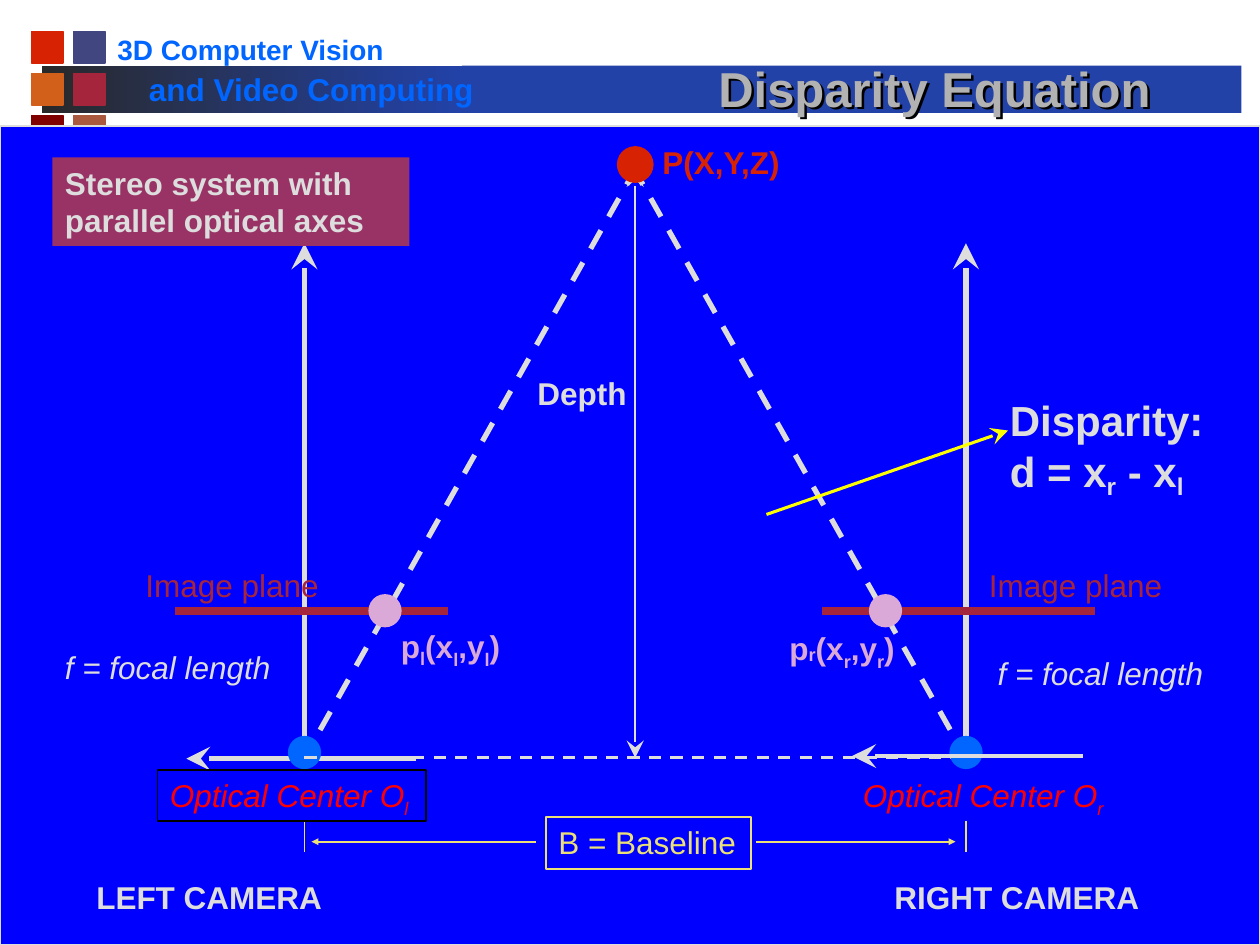
import pptx
import pptx.util
import pptx.dml.color
import pptx.enum.shapes
import pptx.enum.text
import pptx.enum.dml
import pptx.oxml.ns
from lxml import etree

Pt = pptx.util.Pt
SHAPE = pptx.enum.shapes.MSO_SHAPE
ALIGN = pptx.enum.text.PP_ALIGN

COLORS = {
    "silver": "DDDDDD", "title": "B2B2B2", "field": "0000FF", "sky": "0066FF",
    "bar": "2242A8", "bar start": "292929", "red": "D82204", "crimson": "A5253D",
    "pink": "DBA9D7", "label red": "FF0000", "sand": "EBE077", "plum": "993366",
    "yellow": "FFFF00", "black": "000000", "indigo": "424680", "orange": "D2601A",
    "maroon": "800000", "clay": "AA583E",
}
ARROW_SIZES = {"stealth": "lg", "triangle": "sm"}

# Geometry shared by the two cameras
LEFT, RIGHT, MIDDLE = 174, 552, 363
CENTER_Y, PLANE_Y, AXIS_TOP, BASELINE_Y = 433, 349, 139, 481

SQUARES = [["red", "indigo"], ["orange", "crimson"], ["maroon", "clay"]]

# Lines: start, end, color, width, options
LEFT_LINES = [
    ((238, 433.5), (106.5, 433.5), "silver", 2.75, {"end": "stealth"}),
    ((364, 95), (LEFT, CENTER_Y), "silver", 3, {"dash": True}),
    ((LEFT, CENTER_Y), (LEFT, AXIS_TOP), "silver", 3, {"end": "stealth"}),
    ((256, PLANE_Y), (100, PLANE_Y), "crimson", 4.5, {}),
]
SHARED_LINES = [
    ((LEFT, 469), (LEFT, 487), "sand", 1, {}),
    ((RIGHT, 469), (RIGHT, 487), "sand", 1, {}),
    ((432, BASELINE_Y), (546, BASELINE_Y), "sand", 1, {"end": "triangle"}),
    ((306, BASELINE_Y), (178, BASELINE_Y), "sand", 1, {"end": "triangle"}),
    ((LEFT, CENTER_Y), (RIGHT, CENTER_Y), "silver", 1.75, {"dash": True}),
    ((MIDDLE, CENTER_Y), (MIDDLE, 97), "silver", 1, {"start": "stealth", "end": "stealth"}),
]
RIGHT_LINES = [
    ((361.5, 95), (RIGHT, CENTER_Y), "silver", 3, {"dash": True}),
    ((RIGHT, CENTER_Y), (RIGHT, AXIS_TOP), "silver", 3, {"end": "stealth"}),
    ((470, PLANE_Y), (626, PLANE_Y), "crimson", 4.5, {}),
]
TOP_LINES = [
    ((619, 432), (487, 432), "silver", 2.75, {"end": "stealth"}),
    ((438, 294), (576, 246), "yellow", 1.75, {"end": "stealth"}),
]

# Dots: center, color, outline width
LEFT_DOTS = [((220, PLANE_Y), "pink", 1), ((LEFT, 430), "sky", 1)]
RIGHT_DOTS = [((MIDDLE, 94), "red", 3), ((506, PLANE_Y), "pink", 1), ((RIGHT, 430), "sky", 1)]

# Labels: text with subscripts between bars, box, format
HEADER_LABELS = [
    ("3D Computer Vision", (60, 15, 167, 27), {"color": "sky", "size": 16, "bold": True}),
    ("and Video Computing", (78, 36.5, 204, 29), {"color": "sky", "bold": True, "wrap": True}),
]
POINT = {"color": "pink", "bold": True}
CENTER = {"color": "label red", "italic": True}
LABELS = [
    ("P(X,Y,Z)", (371.5, 78, 83.5, 29), {"color": "red", "bold": True}),
    ("p|l|(x|l|,y|l|)", (222, 355, 73, 29), {**POINT, "depths": (-20, -25, -25)}),
    ("p|r|(x|r|,y|r|)", (444, 356, 76, 29), {**POINT, "depths": (-2, -25, -25)}),
    ("Optical Center O|l|", (90, 440, 153.5, 29), {**CENTER, "wrap": True, "line": "black"}),
    ("Optical Center O|r|", (486, 440, 153, 29), CENTER),
    ("f = focal length", (30, 367, 132, 29), {"italic": True}),
    ("f = focal length", (563, 370, 132, 29), {"italic": True}),
    ("Image plane", (76, 320, 114, 29), {"color": "crimson"}),
    ("Image plane", (558, 320, 114, 29), {"color": "crimson"}),
    ("LEFT CAMERA", (48, 498, 160, 29), {"bold": True, "wrap": True}),
    ("RIGHT CAMERA", (504, 498, 160, 29), {"bold": True, "wrap": True}),
    ("B = Baseline", (312, 467, 117, 29.5), {"color": "sand", "line": "sand"}),
    ("Depth", (300, 210, 96, 61), {"bold": True, "wrap": True}),
    ("Stereo system with parallel optical axes", (30, 90, 204, 50.5),
     {"bold": True, "wrap": True, "fill": "plum"}),
    ("Disparity:\nd = x|r| - x|l|", (570, 222, 133, 65.5),
     {"size": 24, "bold": True, "depths": (-20, -20)}),
]


def rgb(name):
    return pptx.dml.color.RGBColor.from_string(COLORS[name])


def add_child(parent, tag, **attributes):
    return etree.SubElement(parent, pptx.oxml.ns.qn(tag), attributes)


def write_text(frame, text, color="silver", size=18, bold=False, italic=False,
               wrap=False, depths=(-25,), align=ALIGN.LEFT):
    frame.word_wrap = wrap
    depth = iter(depths)
    for index, line in enumerate(text.split("\n")):
        paragraph = frame.paragraphs[0] if index == 0 else frame.add_paragraph()
        paragraph.alignment = align
        for position, piece in enumerate(line.split("|")):
            if not piece:
                continue
            run = paragraph.add_run()
            run.text = piece
            font = run.font
            font.name, font.size, font.bold, font.italic = "Arial", Pt(size), bold, italic
            font.color.rgb = rgb(color)
            if position % 2:
                font._element.set("baseline", str(next(depth) * 1000))


def add_shape(slide, kind, box, fill=None, line=None, width=1):
    shape = slide.shapes.add_shape(kind, *(Pt(value) for value in box))
    shape.shadow.inherit = False
    if fill:
        shape.fill.solid()
        shape.fill.fore_color.rgb = rgb(fill)
    else:
        shape.fill.background()
    if line:
        shape.line.color.rgb = rgb(line)
        shape.line.width = Pt(width)
    else:
        shape.line.fill.background()
    return shape


def add_labels(slide, labels):
    for text, box, style in labels:
        style = dict(style)
        fill, line = style.pop("fill", None), style.pop("line", None)
        if fill or line:
            shape = add_shape(slide, SHAPE.RECTANGLE, box, fill, line)
        else:
            shape = slide.shapes.add_textbox(*(Pt(value) for value in box))
        frame = shape.text_frame
        write_text(frame, text, **style)
        frame.vertical_anchor = pptx.enum.text.MSO_ANCHOR.TOP
        frame.auto_size = pptx.enum.text.MSO_AUTO_SIZE.SHAPE_TO_FIT_TEXT


def add_lines(slide, lines):
    for start, end, color, width, options in lines:
        connector = slide.shapes.add_connector(
            pptx.enum.shapes.MSO_CONNECTOR.STRAIGHT, *(Pt(value) for value in start + end))
        connector.line.color.rgb = rgb(color)
        connector.line.width = Pt(width)
        if options.get("dash"):
            connector.line.dash_style = pptx.enum.dml.MSO_LINE.DASH
        outline = connector.line._get_or_add_ln()
        for key, tag in (("start", "a:headEnd"), ("end", "a:tailEnd")):
            if key in options:
                size = ARROW_SIZES[options[key]]
                add_child(outline, tag, type=options[key], w=size, len=size)
        add_child(connector._element.spPr, "a:effectLst")


def add_dots(slide, dots, diameter=18):
    for (x, y), color, width in dots:
        box = (x - diameter / 2, y - diameter / 2, diameter, diameter)
        add_shape(slide, SHAPE.OVAL, box, color, color, width)


def add_header(slide):
    gradient_bar = add_shape(slide, SHAPE.RECTANGLE, (24, 37.5, 240, 27), "bar")
    gradient_bar.fill.gradient()
    gradient_bar.fill.gradient_angle = 0
    for stop, color, position in zip(gradient_bar.fill.gradient_stops, ("bar start", "bar"), (0, 1)):
        stop.color.rgb = rgb(color)
        stop.position = position
    for row, colors in enumerate(SQUARES):
        for column, color in enumerate(colors):
            box = (18 + 24 * column, 18 + 24 * row, 18, 18)
            add_shape(slide, SHAPE.RECTANGLE, box, color, color)
    add_shape(slide, SHAPE.RECTANGLE, (264, 37.5, 445.5, 27), "bar")
    add_labels(slide, HEADER_LABELS)


def add_title(slide):
    title = slide.shapes.title
    title.left, title.top, title.width, title.height = Pt(354), Pt(22.5), Pt(360), Pt(48)
    write_text(title.text_frame, "Disparity Equation", color="title", size=28,
               bold=True, wrap=True, align=ALIGN.CENTER)
    title.text_frame.vertical_anchor = pptx.enum.text.MSO_ANCHOR.BOTTOM
    # An unfilled shape casts its shadow from the letters
    title.fill.background()
    effects = add_child(title.element.spPr, "a:effectLst")
    shadow = add_child(effects, "a:outerShdw", dist="25400", dir="2700000")
    add_child(shadow, "a:srgbClr", val=COLORS["black"])
    # Bring the title in front of the header bars
    title.element.getparent().append(title.element)


def main():
    presentation = pptx.Presentation()
    presentation.slide_width, presentation.slide_height = Pt(720), Pt(540)
    slide = presentation.slides.add_slide(presentation.slide_layouts[5])
    add_header(slide)
    add_title(slide)
    # Stereo diagram, from back to front
    add_shape(slide, SHAPE.RECTANGLE, (0, 72, 720, 468), "field", "silver")
    add_lines(slide, LEFT_LINES)
    add_dots(slide, LEFT_DOTS)
    add_lines(slide, SHARED_LINES + RIGHT_LINES)
    add_dots(slide, RIGHT_DOTS)
    add_labels(slide, LABELS)
    add_lines(slide, TOP_LINES)
    presentation.save("out.pptx")


if __name__ == "__main__":
    main()
